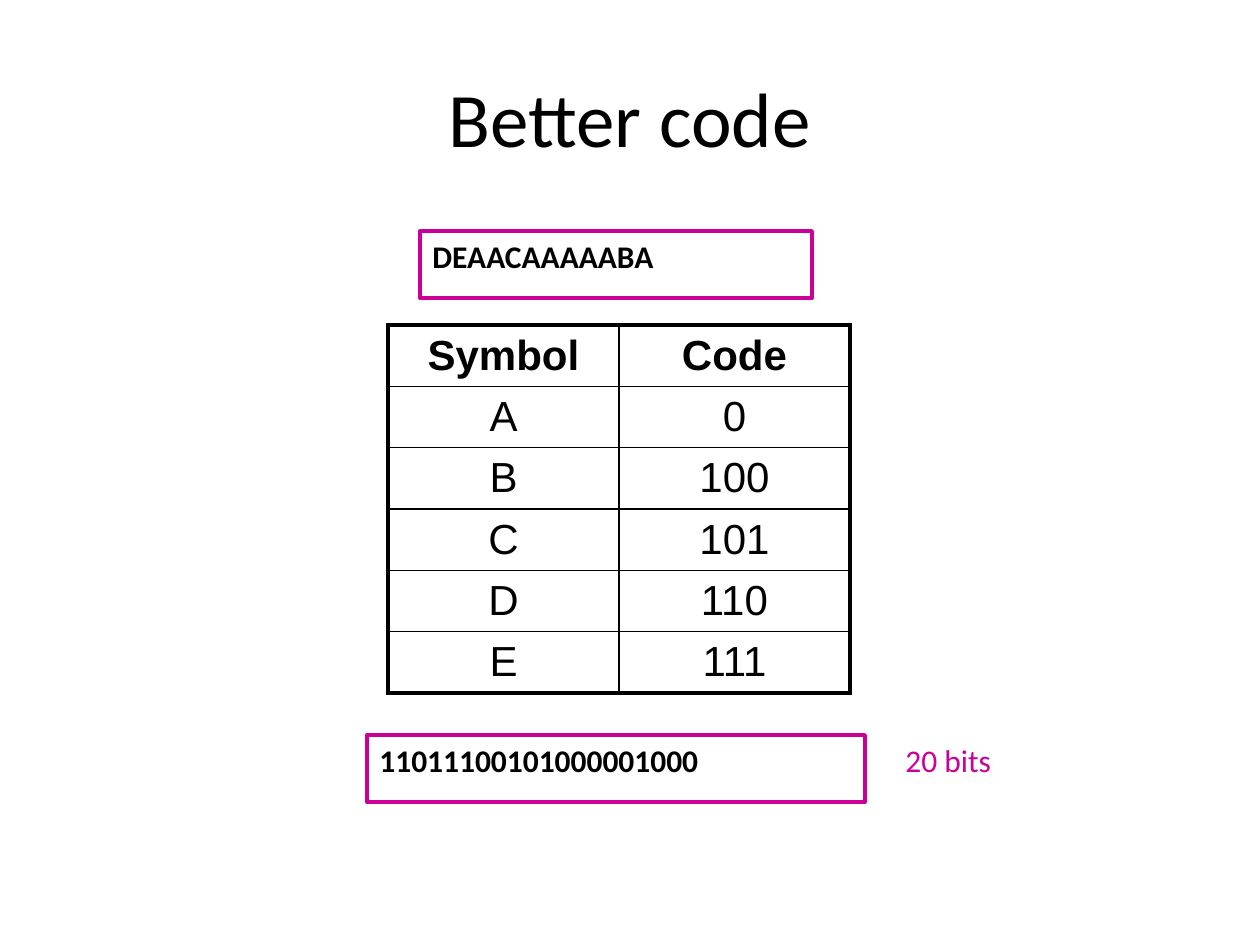
"""Build the "Better code" slide with its symbol table and encoded message."""
from lxml.etree import SubElement
from pptx import Presentation
from pptx.dml.color import RGBColor
from pptx.enum.shapes import MSO_SHAPE
from pptx.enum.text import MSO_ANCHOR, PP_ALIGN
from pptx.oxml.ns import qn
from pptx.util import Emu, Pt

PIXEL = 914400 / 126
BLACK, MAGENTA = "000000", "CC0099"


def place(*lengths):
    return [Emu(round(length * PIXEL)) for length in lengths]


def style(para, font, size, color, bold=False):
    para.font.name = font
    para.font.size = Pt(size)
    para.font.bold = bold
    para.font.color.rgb = RGBColor.from_string(color)


deck = Presentation()
deck.slide_width, deck.slide_height = place(1260, 945)
page = deck.slides.add_slide(deck.slide_layouts[5])

title = page.shapes.title
title.left, title.top, title.width, title.height = place(63, 38, 1134, 157)
title.text_frame.text = "Better code"
title.text_frame.vertical_anchor = MSO_ANCHOR.MIDDLE
title.text_frame.paragraphs[0].alignment = PP_ALIGN.CENTER
style(title.text_frame.paragraphs[0], "Calibri", 44, BLACK)

rows = [("Symbol", "Code"), ("A", "0"), ("B", "100"), ("C", "101"), ("D", "110"), ("E", "111")]
last_row, last_column = len(rows) - 1, 1
table = page.shapes.add_table(len(rows), 2, *place(388, 325, 462, 368)).table
for row_index, row in enumerate(rows):
    for column_index, text in enumerate(row):
        cell = table.cell(row_index, column_index)
        cell.text = text
        cell.vertical_anchor = MSO_ANCHOR.MIDDLE
        para = cell.text_frame.paragraphs[0]
        para.alignment = PP_ALIGN.CENTER
        style(para, "Arial", 24, BLACK, bold=row_index == 0)
        outer_edges = {
            "a:lnL": column_index == 0,
            "a:lnR": column_index == last_column,
            "a:lnT": row_index == 0,
            "a:lnB": row_index == last_row,
        }
        properties = cell._tc.get_or_add_tcPr()
        for edge, outer in outer_edges.items():
            border = SubElement(properties, qn(edge), w=str(Pt(2.25 if outer else 1)))
            border_fill = SubElement(border, qn("a:solidFill"))
            SubElement(border_fill, qn("a:srgbClr"), val=BLACK)
        cell.fill.background()

for text, left, top, width in [
    ("DEAACAAAAABA", 420, 231, 392),
    ("11011100101000001000", 367, 735, 498),
]:
    box = page.shapes.add_shape(MSO_SHAPE.RECTANGLE, *place(left, top, width, 67))
    box.shadow.inherit = False
    box.fill.background()
    box.line.color.rgb = RGBColor.from_string(MAGENTA)
    box.line.width = Pt(2.25)
    box.text_frame.text = text
    box.text_frame.word_wrap = True
    box.text_frame.vertical_anchor = MSO_ANCHOR.TOP
    box.text_frame.paragraphs[0].alignment = PP_ALIGN.LEFT
    style(box.text_frame.paragraphs[0], "Calibri", 18, BLACK, bold=True)

size_label = page.shapes.add_textbox(*place(893, 735, 148, 63))
size_label.text_frame.text = "20 bits"
size_label.text_frame.word_wrap = True
style(size_label.text_frame.paragraphs[0], "Calibri", 18, MAGENTA)

deck.save("out.pptx")
